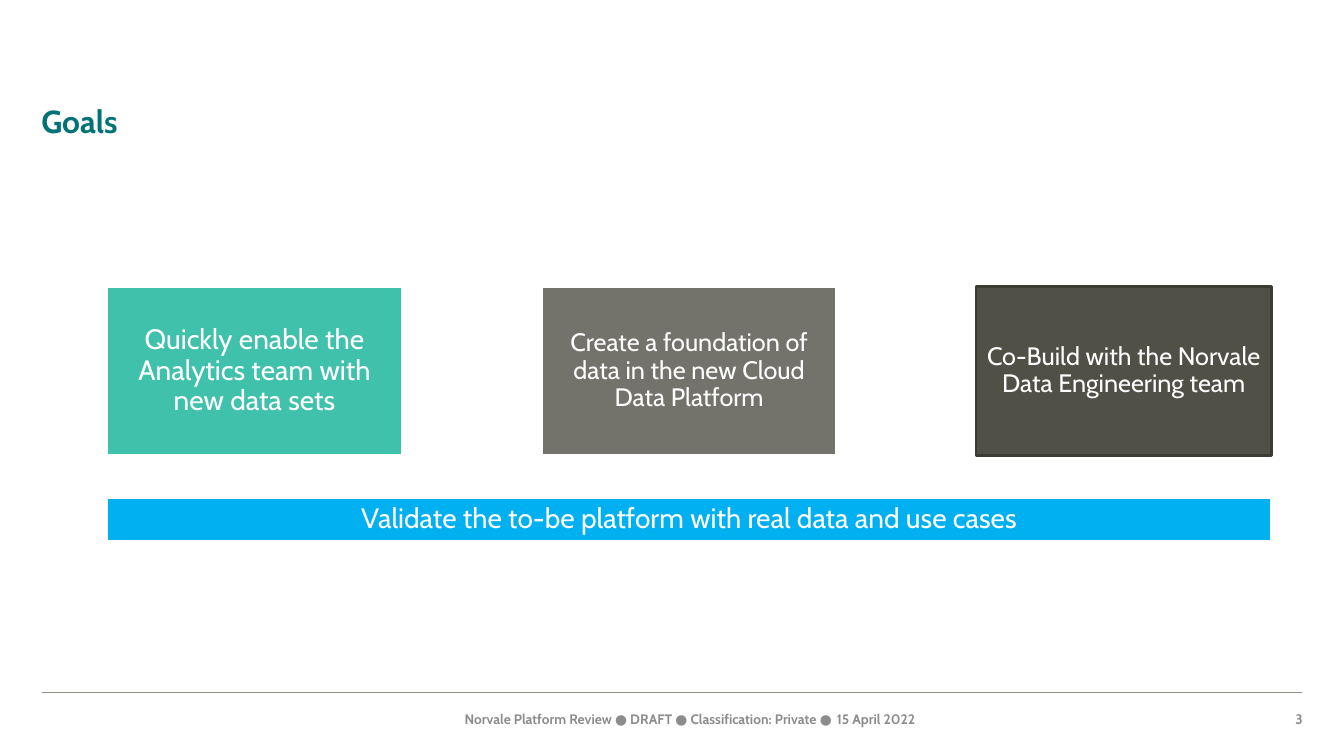
import pptx
import pptx.util
import pptx.dml.color
import pptx.enum.shapes
import pptx.enum.text
from lxml import etree

Inches, Pt = pptx.util.Inches, pptx.util.Pt
RGBColor = pptx.dml.color.RGBColor
ALIGN = pptx.enum.text.PP_ALIGN
ANCHOR = pptx.enum.text.MSO_ANCHOR

WHITE = RGBColor(0xFF, 0xFF, 0xFF)
DARK_TEAL = RGBColor(0x00, 0x73, 0x77)
TEAL = RGBColor(0x40, 0xC1, 0xAC)
GREY = RGBColor(0x73, 0x73, 0x6B)
OLIVE = RGBColor(0x51, 0x50, 0x46)
DARK_OLIVE = RGBColor(0x3C, 0x3B, 0x34)
BLUE = RGBColor(0x00, 0xB0, 0xF0)
RULE_GREY = RGBColor(0x91, 0x93, 0x88)
FOOTER_GREY = RGBColor(0x8C, 0x8C, 0x8C)

# Content
TITLE = "Goals"
GOALS = [  # text, size, fill, line
    ("Quickly enable the Analytics team with new data sets", 20, TEAL, WHITE),
    ("Create a foundation of data in the new Cloud Data Platform", 18, GREY, WHITE),
    ("Co-Build with the Norvale Data Engineering team", 18, OLIVE, DARK_OLIVE),
]
VALIDATION = "Validate the to-be platform with real data and use cases"
FOOTERS = [  # text, left, width, alignment
    ("Norvale Platform Review ● DRAFT ● Classification: Private ●", 4.25, 4, ALIGN.RIGHT),
    ("15 April 2022", 8.3, 1.11, ALIGN.LEFT),
    ("3", 12.5, 0.42, ALIGN.RIGHT),
]

# Layout
LEFT, RIGHT = 1.06, 12.61
GOAL_TOP, GOAL_W, GOAL_H = 2.84, 2.93, 1.68
GOAL_STEP = (RIGHT - LEFT - GOAL_W) / (len(GOALS) - 1)


def write(sp, text, size, color, bold=False, align=ALIGN.LEFT,
          anchor=ANCHOR.TOP, inset=0, spacing=None):
    tf = sp.text_frame
    tf.word_wrap = True
    tf.auto_size = pptx.enum.text.MSO_AUTO_SIZE.NONE
    tf.vertical_anchor = anchor
    tf.margin_left = tf.margin_right = Inches(inset)
    tf.margin_top = tf.margin_bottom = Inches(inset)
    p = tf.paragraphs[0]
    p.alignment, p.line_spacing = align, spacing
    r = p.add_run()
    r.text = text
    r.font.name, r.font.size, r.font.bold = "Cabin", Pt(size), bold
    r.font.color.rgb = color


def add_box(s, left, top, width, height, text, size, fill, line):
    sp = s.shapes.add_shape(pptx.enum.shapes.MSO_SHAPE.RECTANGLE, Inches(left),
                            Inches(top), Inches(width), Inches(height))
    sp.shadow.inherit = False
    sp.fill.solid()
    sp.fill.fore_color.rgb = fill
    sp.line.color.rgb = line
    sp.line.width = Pt(2)
    write(sp, text, size, WHITE, align=ALIGN.CENTER, anchor=ANCHOR.MIDDLE,
          inset=0.11, spacing=0.9)


def main():
    prs = pptx.Presentation()
    prs.slide_width, prs.slide_height = Inches(13.33), Inches(7.5)
    s = prs.slides.add_slide(prs.slide_layouts[5])

    # Title
    title = s.shapes.title
    title.left, title.top = Inches(0.41), Inches(1.02)
    title.width, title.height = Inches(12.5), Inches(0.42)
    write(title, TITLE, 22.7, DARK_TEAL, bold=True, spacing=Pt(26.7))

    # Goal boxes and the bar beneath them
    for i, goal in enumerate(GOALS):
        add_box(s, LEFT + i * GOAL_STEP, GOAL_TOP, GOAL_W, GOAL_H, *goal)
    add_box(s, LEFT, 4.94, RIGHT - LEFT, 0.43, VALIDATION, 20, BLUE, WHITE)

    # Footer rule and texts
    rule = s.shapes.add_connector(pptx.enum.shapes.MSO_CONNECTOR.STRAIGHT, Inches(0.42),
                                  Inches(6.87), Inches(12.91), Inches(6.87))
    rule.line.color.rgb = RULE_GREY
    rule.line.width = Pt(0.25)
    etree.SubElement(rule.element.spPr, pptx.oxml.ns.qn("a:effectLst"))
    for text, left, width, align in FOOTERS:
        sp = s.shapes.add_textbox(Inches(left), Inches(7.05), Inches(width), Inches(0.16))
        write(sp, text, 9.8, FOOTER_GREY, bold=True, align=align, spacing=Pt(11.7))

    prs.save("out.pptx")


if __name__ == "__main__":
    main()
